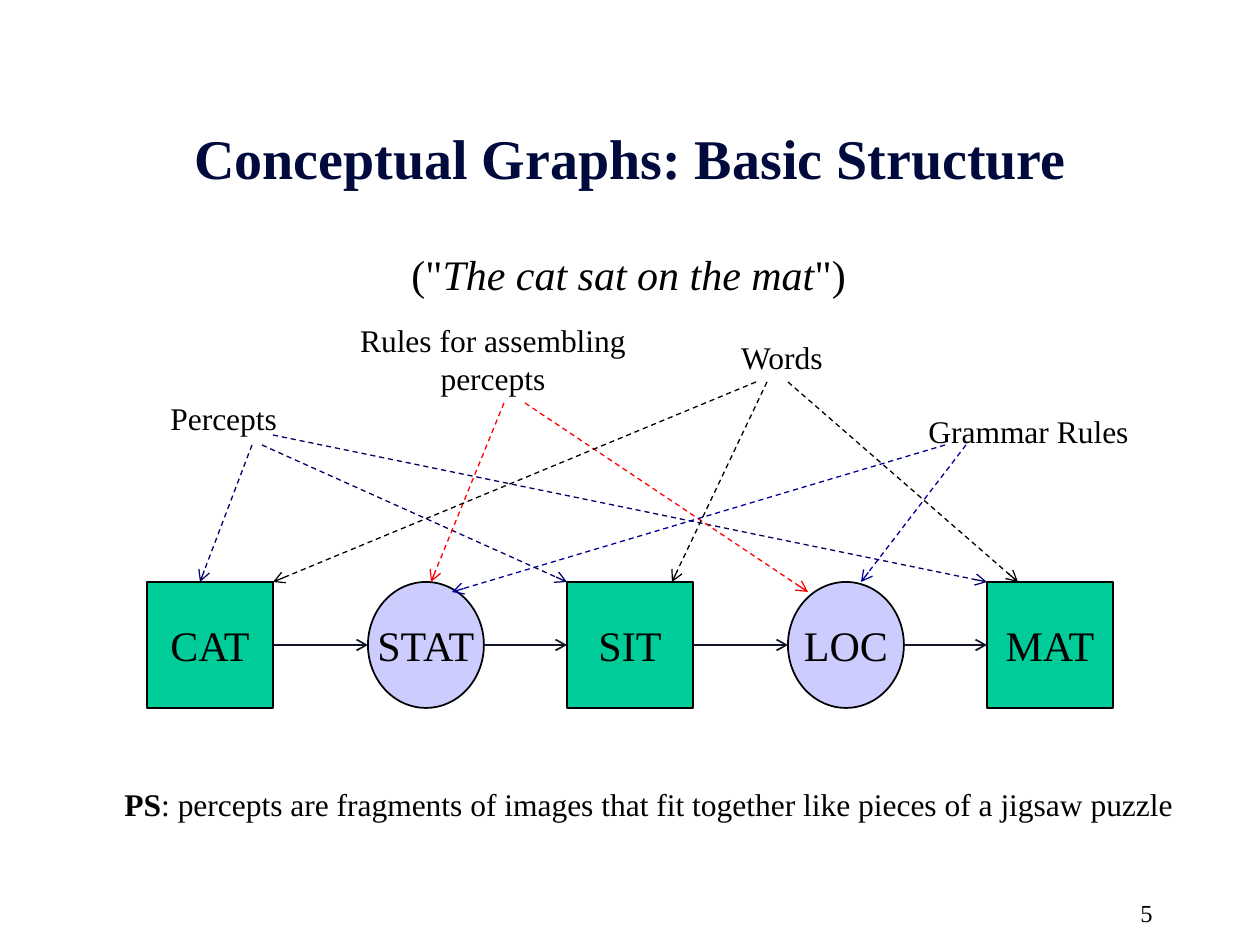
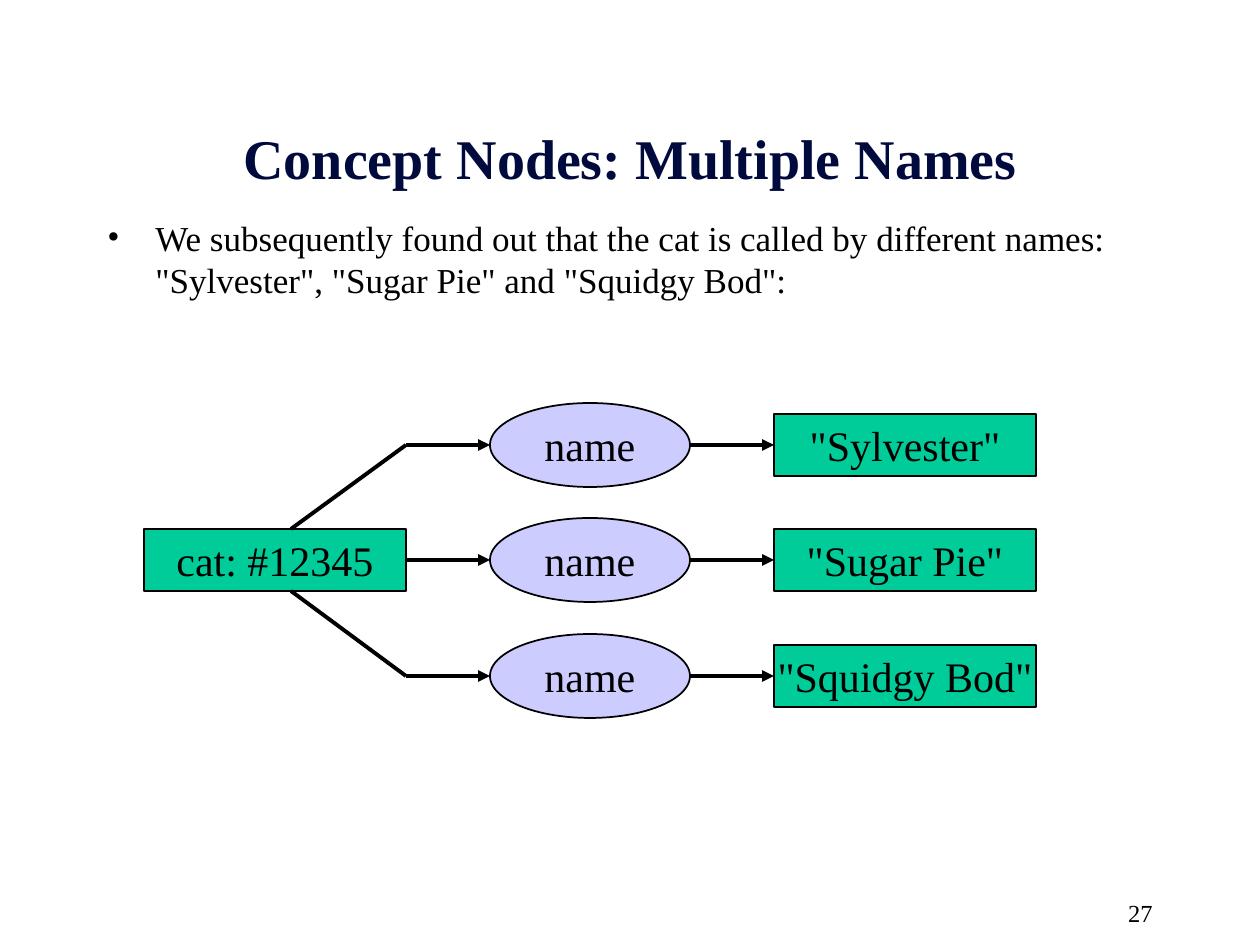
from dataclasses import dataclass

from pptx import Presentation
from pptx.dml.color import RGBColor
from pptx.enum.dml import MSO_LINE
from pptx.enum.shapes import MSO_CONNECTOR, MSO_SHAPE
from pptx.enum.text import MSO_ANCHOR, PP_ALIGN
from pptx.oxml.ns import qn
from pptx.util import Pt
from lxml.etree import SubElement


@dataclass(frozen=True)
class Theme:
    font: str = "Times New Roman"
    ink: str = "000000"
    title: str = "000A3C"
    box: str = "00CC99"
    oval: str = "CCCCFF"
    link: str = "131529"
    percept: str = "000066"
    rule: str = "FF0000"
    grammar: str = "000099"
    head: int = 32
    node: int = 24
    body: int = 20
    note: int = 18
    page: int = 14


THEME = Theme()
SCALE = 914400 / 126
LEFT, MID, RIGHT = PP_ALIGN.LEFT, PP_ALIGN.CENTER, PP_ALIGN.RIGHT
BOX, OVAL = MSO_SHAPE.RECTANGLE, MSO_SHAPE.OVAL


def px(*sizes):
    return [round(size * SCALE) for size in sizes]


def rgb(code):
    return RGBColor.from_string(code)


def write(frame, parts, size, align=LEFT, color=THEME.ink, bold=False):
    """Fill the frame with one paragraph, one run for each part."""
    para = frame.paragraphs[0]
    para.text = parts[0]
    for part in parts[1:]:
        para.add_run().text = part
    para.alignment = align
    for run in para.runs:
        font = run.font
        font.name, font.size, font.bold = THEME.font, Pt(size), bold
        font.color.rgb = rgb(color)
    return para


def label(slide, spot, *parts, size=THEME.note, align=MID, wrap=True):
    frame = slide.shapes.add_textbox(*px(*spot)).text_frame
    frame.word_wrap = wrap
    return write(frame, parts, size, align)


def bullet(para):
    props = para._p.get_or_add_pPr()
    indent, = px(48)
    props.set("marL", str(indent))
    props.set("indent", str(-indent))
    SubElement(props, qn("a:buFont"), typeface=THEME.font)
    SubElement(props, qn("a:buChar"), char="•")


def node(slide, kind, spot, text):
    shape = slide.shapes.add_shape(kind, *px(*spot))
    shape.shadow.inherit = False
    shape.fill.solid()
    shape.fill.fore_color.rgb = rgb(THEME.box if kind == BOX else THEME.oval)
    shape.line.color.rgb = rgb(THEME.ink)
    shape.line.width = Pt(1)
    frame = shape.text_frame
    frame.word_wrap = False
    frame.vertical_anchor = MSO_ANCHOR.MIDDLE
    write(frame, [text], THEME.node, MID)
    return shape


def line(slide, start, end, color=THEME.ink, width=1, tip=None, dash=False):
    wire = slide.shapes.add_connector(MSO_CONNECTOR.STRAIGHT, *px(*start, *end))
    wire.line.color.rgb = rgb(color)
    wire.line.width = Pt(width)
    if dash:
        wire.line.dash_style = MSO_LINE.DASH
    if tip:
        SubElement(wire.line._get_or_add_ln(), qn("a:tailEnd"), type=tip)
    SubElement(wire._element.spPr, qn("a:effectLst"))
    return wire


def page(deck, title, number):
    """Add a slide with its title and page number."""
    slide = deck.slides.add_slide(deck.slide_layouts[5])
    head = slide.shapes.title
    head.left, head.top, head.width, head.height = px(95, 105, 1071, 105)
    head.text_frame.vertical_anchor = MSO_ANCHOR.MIDDLE
    write(head.text_frame, [title], THEME.head, MID, THEME.title, True)
    label(slide, (903, 892, 262, 32), number, size=THEME.page, align=RIGHT)
    return slide


def basics(deck):
    slide = page(deck, "Conceptual Graphs: Basic Structure", "5")
    top, side, oval, step = 582, 126, 116, 420
    mid = top + side // 2
    boxes = [node(slide, BOX, (147 + step * i, top, side, side), text)
             for i, text in enumerate(["CAT", "SIT", "MAT"])]
    for i, text in enumerate(["STAT", "LOC"]):
        left = 368 + step * i
        node(slide, OVAL, (left, top, oval, side), text)
        wire = line(slide, (left - 95, mid), (left, mid), THEME.link, tip="arrow")
        wire.begin_connect(boxes[i], 3)
        wire = line(slide, (left + oval, mid), (left + 199, mid), THEME.link, tip="arrow")
        wire.end_connect(boxes[i + 1], 1)

    for spot, text, align in [
        ((158, 393, 136, 50), "Percepts", LEFT),
        ((325, 315, 336, 88), "Rules for assembling percepts", MID),
        ((693, 332, 178, 50), "Words", MID),
        ((892, 406, 273, 50), "Grammar Rules", MID),
    ]:
        label(slide, spot, text, align=align)

    for color, ends in [
        (THEME.percept, [((252, 445), (200, top)), ((262, 445), (567, top)),
                         ((273, 435), (987, top))]),
        (THEME.rule, [((504, 403), (431, top)), ((525, 403), (808, 592))]),
        (THEME.ink, [((756, 382), (273, top)), ((767, 382), (672, top)),
                     ((788, 382), (1018, top))]),
        (THEME.grammar, [((945, 445), (452, 592)), ((966, 445), (861, top))]),
    ]:
        for start, end in ends:
            line(slide, start, end, color, 0.75, "arrow", True)

    quote = label(slide, (399, 242, 460, 63), '("', "The cat sat on the mat", '")',
                  size=THEME.node, align=LEFT, wrap=False)
    quote.runs[1].font.italic = True
    note = label(slide, (112, 779, 1075, 50), "PS",
                 ": percepts are fragments of images that fit together"
                 " like pieces of a jigsaw puzzle", align=LEFT, wrap=False)
    note.runs[0].font.bold = True


def names(deck):
    slide = page(deck, "Concept Nodes: Multiple Names", "27")
    bullet(label(slide, (95, 210, 1071, 672),
                 "We subsequently found out that the cat is called by different names: "
                 '"Sylvester", "Sugar Pie" and "Squidgy Bod":',
                 size=THEME.body, align=LEFT))
    wide, high = 262, 62
    rows = [445 + 231 * i // 2 for i in range(3)]
    bend, oval, box = 406, 490, 774
    top = rows[1] - high // 2
    cat = node(slide, BOX, (144, top, wide, high), "cat: #12345")
    for mid, text in zip(rows, ['"Sylvester"', '"Sugar Pie"', '"Squidgy Bod"']):
        node(slide, OVAL, (oval, mid - 42, 200, 84), "name")
        name = node(slide, BOX, (box, mid - high // 2, wide, high), text)
        wire = line(slide, (bend, mid), (oval, mid), width=2.25, tip="triangle")
        if mid == rows[1]:
            wire.begin_connect(cat, 3)
        wire = line(slide, (oval + 200, mid), (box, mid), width=2.25, tip="triangle")
        wire.end_connect(name, 1)
    for edge, mid in [(top, rows[0]), (top + high, rows[2])]:
        line(slide, (291, edge), (bend, mid), width=2.25)


def main():
    deck = Presentation()
    deck.slide_width, deck.slide_height = px(1260, 945)
    basics(deck)
    names(deck)
    deck.save("out.pptx")


if __name__ == "__main__":
    main()
